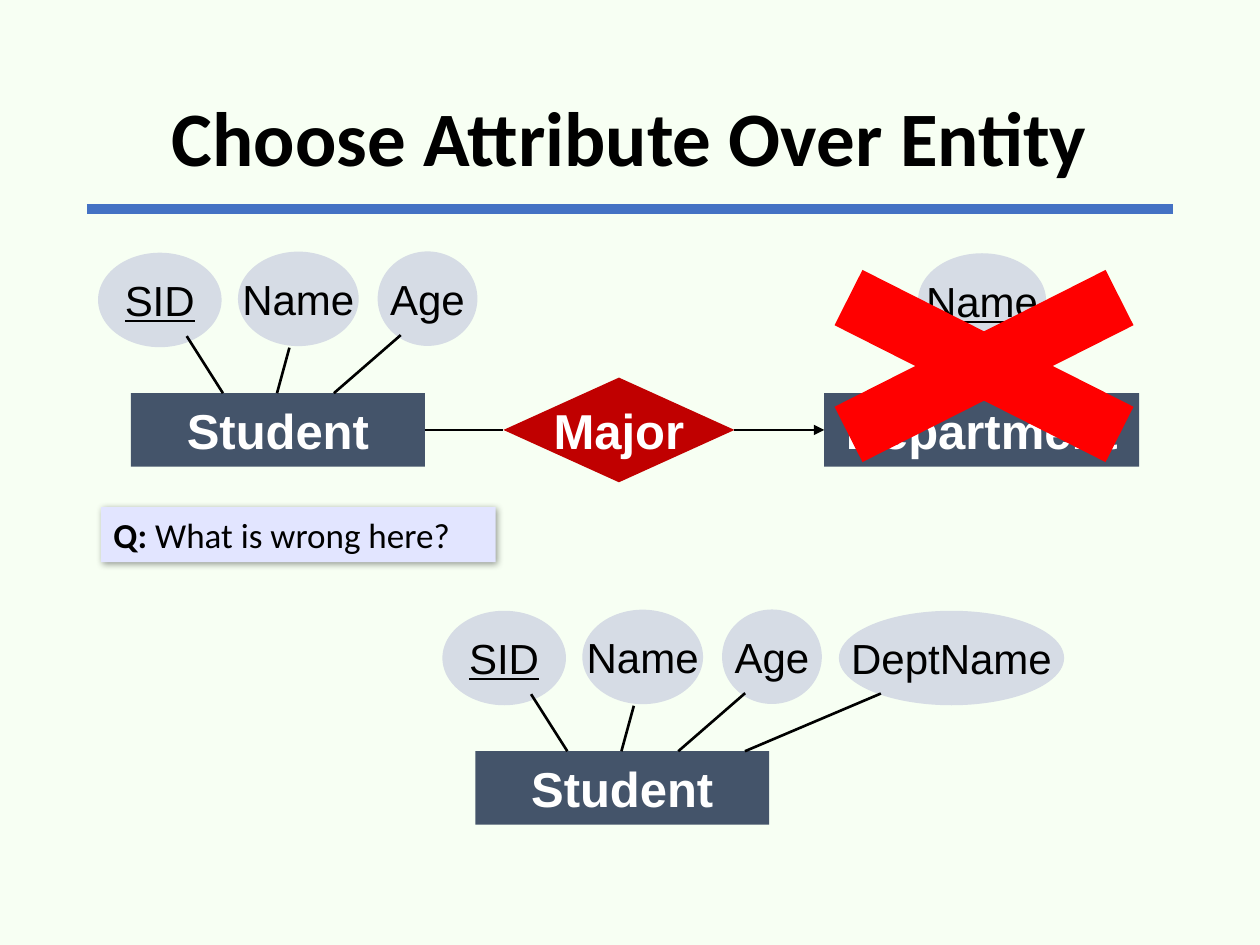
"""Build the slide on choosing an attribute over an entity in an E/R diagram."""
from pptx import Presentation
from pptx.dml.color import RGBColor
from pptx.enum import shapes, text
from pptx.oxml import parse_xml
from pptx.oxml.ns import nsdecls
from pptx.util import Pt

rgb = RGBColor.from_string
MSO = shapes.MSO_SHAPE
ENTITY = dict(size=Pt(28), bold=True, name="Arial")
ATTRIBUTE = dict(size=Pt(24), name="Arial")
KEY = dict(ATTRIBUTE, underline=True)


def add_shape(kind, box, fill, runs=(), color="000000"):
    sp = s.shapes.add_shape(kind, *map(Pt, box))
    sp.shadow.inherit = False
    sp.fill.solid()
    sp.fill.fore_color.rgb = rgb(fill)
    sp.line.fill.background()
    tf = sp.text_frame
    tf.word_wrap = False
    tf.vertical_anchor = text.MSO_ANCHOR.MIDDLE
    p = tf.paragraphs[0]
    p.alignment = text.PP_ALIGN.CENTER
    for words, font in runs:
        r = p.add_run()
        r.text = words
        r.font.color.rgb = rgb(color)
        for key, value in font.items():
            setattr(r.font, key, value)
    return sp


def add_line(x1, y1, x2, y2, color="000000", width=1.5):
    ln = s.shapes.add_connector(shapes.MSO_CONNECTOR.STRAIGHT, *map(Pt, (x1, y1, x2, y2)))
    ln.line.color.rgb = rgb(color)
    ln.line.width = Pt(width)
    ln._element.spPr.append(parse_xml(f"<a:effectLst {nsdecls('a')}/>"))
    return ln


prs = Presentation()
prs.slide_width, prs.slide_height = Pt(720), Pt(540)
s = prs.slides.add_slide(prs.slide_layouts[5])
s.background.fill.solid()
s.background.fill.fore_color.rgb = rgb("F7FFF3")

add_line(49.7, 119.4, 670.3, 119.4, "4472C4", 6)
title = s.shapes.title
title.left, title.top, title.width, title.height = map(Pt, (49.7, 28.8, 620.6, 104.4))
tf = title.text_frame
tf.text = "Choose Attribute Over Entity"
tf.vertical_anchor = text.MSO_ANCHOR.MIDDLE
p = tf.paragraphs[0]
p.alignment = text.PP_ALIGN.CENTER
p.line_spacing = 0.9
p.font.color.rgb = rgb("000000")
for key, value in dict(size=Pt(44), bold=True, name="Calibri").items():
    setattr(p.font, key, value)

name = ("Name", ATTRIBUTE, (61.2, -80.9, 69, 54), (83.5, 0, 90.6, -26))
age = ("Age", ATTRIBUTE, (141, -81, 57, 54), (116, 0, 154.2, -33.2))
sid = ("SID", KEY, (-18.8, -80.3, 70.6, 54), (52.6, 0, 31.9, -32.6))
dept_name = ("DeptName", ATTRIBUTE, (207.8, -80.3, 128.7, 54), (154.1, 0, 231.8, -33))
dept_key = ("Name", KEY, (53.6, -80, 73.2, 54), (91.4, 0, 91.4, -27))
entities = [
    ("Student", 74.8, 224.7, 168, [name, age, sid]),
    ("Department", 471, 224.7, 180, [dept_key]),
    ("Student", 271.6, 429.3, 168, [name, age, sid, dept_name]),
]
for label, x, y, width, attributes in entities:
    add_shape(MSO.RECTANGLE, (x, y, width, 42), "44546A", [(label, ENTITY)], "FFFFFF")
    for words, font, (dx, dy, w, h), (x1, y1, x2, y2) in attributes:
        add_shape(MSO.OVAL, (x + dx, y + dy, w, h), "D6DCE5", [(words, font)])
        add_line(x + x1, y + y1, x + x2, y + y2)

add_shape(MSO.DIAMOND, (287.7, 215.8, 132, 59.8), "C00000", [("Major", ENTITY)], "FFFFFF")
add_line(242.8, 245.7, 287.7, 245.7)
arrow = add_line(471, 245.7, 419.7, 245.7)
arrow.line._get_or_add_ln().append(parse_xml(f'<a:headEnd {nsdecls("a")} type="triangle"/>'))

question = dict(size=Pt(20), name="Calibri")
sp = add_shape(MSO.RECTANGLE, (57.8, 289.8, 225.4, 31.5), "E2E5FF",
               [("Q: ", dict(question, bold=True)), ("What is wrong here?", question)])
tf = sp.text_frame
tf.word_wrap = True
tf.auto_size = text.MSO_AUTO_SIZE.SHAPE_TO_FIT_TEXT
tf.vertical_anchor = text.MSO_ANCHOR.TOP
tf.paragraphs[0].alignment = text.PP_ALIGN.LEFT
sp._element.spPr.find("{*}effectLst").append(parse_xml(
    f'<a:outerShdw {nsdecls("a")} blurRad="{Pt(4)}" dist="{Pt(1)}" dir="2700000">'
    '<a:srgbClr val="000000"><a:alpha val="40000"/></a:srgbClr></a:outerShdw>'))

add_shape(MSO.MATH_MULTIPLY, (413.3, 133.9, 298.1, 150.5), "FF0000")

prs.save("out.pptx")
